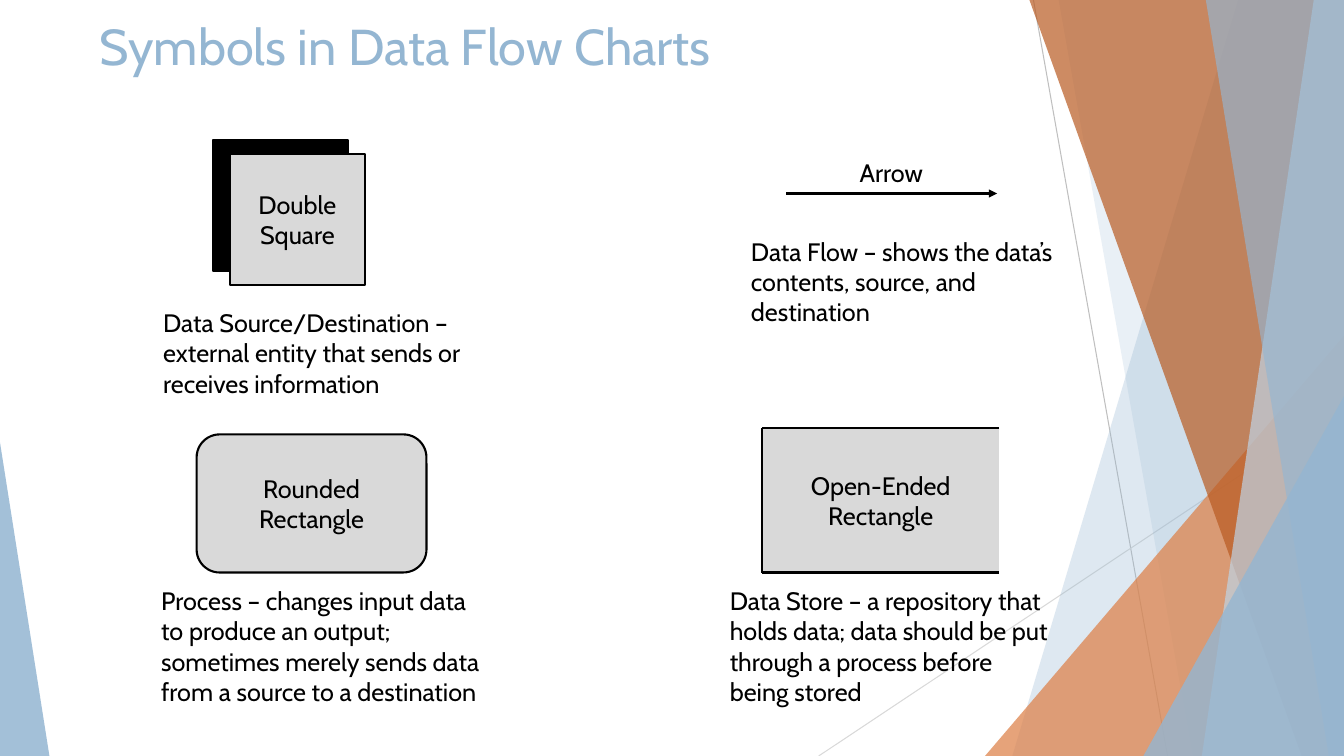
from pptx import Presentation
from pptx.dml.color import RGBColor as Rgb
from pptx.enum.shapes import MSO_CONNECTOR as Link, MSO_SHAPE as Kind
from pptx.enum.text import MSO_ANCHOR as Anchor, MSO_AUTO_SIZE as Auto, PP_ALIGN as Align
from pptx.oxml.ns import qn
from pptx.util import Inches, Pt
from lxml.etree import SubElement as Sub

HUE = {"ink": "000000", "gray": "D9D9D9", "rule": "BFBFBF", "blue": "94B6D2",
       "pale": "BFD3E4", "orange": "DD8047", "rust": "B95B22"}
WIDE, HIGH = 13.33, 7.5
FONT = {"name": "Cabin", "size": Pt(18), "bold": False}
FRAME = {"word_wrap": True, "vertical_anchor": Anchor.TOP}


def style(item, values):
    for key, value in values.items():
        setattr(item, key, value)


def color(name):
    return Rgb.from_string(HUE[name])


def write(shape, text, align=Align.LEFT, hue="ink", frame={}, font={}):
    body = shape.text_frame
    body.text = text
    style(body, FRAME | frame)
    para = body.paragraphs[0]
    para.alignment = align
    style(para.font, FONT | font)
    para.font.color.rgb = color(hue)


def paint(shape, hue, alpha=100, edge=None):
    shape.shadow.inherit = False
    shape.fill.solid()
    shape.fill.fore_color.rgb = color(hue)
    if alpha < 100:
        tint = shape.element.spPr.find(qn("a:solidFill"))[0]
        Sub(tint, qn("a:alpha"), val=str(alpha * 1000))
    if edge:
        shape.line.color.rgb = color(edge)
        shape.line.width = Pt(1.5)
    else:
        shape.line.fill.background()


def block(shapes, kind, box, hue="gray", edge="ink", alpha=100, text=None):
    shape = shapes.add_shape(kind, *map(Inches, box))
    paint(shape, hue, alpha, edge)
    if text:
        write(shape, text, Align.CENTER, frame={"vertical_anchor": Anchor.MIDDLE})
    return shape


def stroke(shapes, start, end, hue="ink", width=1.5, head=False):
    line = shapes.add_connector(Link.STRAIGHT, *map(Inches, start + end))
    line.line.color.rgb = color(hue)
    line.line.width = Pt(width)
    if head:
        Sub(line.line._get_or_add_ln(), qn("a:tailEnd"), type="triangle")
    Sub(line.element.spPr, qn("a:effectLst"))


def label(shapes, box, text, align=Align.LEFT):
    note = shapes.add_textbox(*map(Inches, box))
    write(note, text, align, frame={"auto_size": Auto.SHAPE_TO_FIT_TEXT})


def band(shapes, top, foot, hue, alpha):
    """Band from its left edge to the right side of the slide."""
    spots = [(top, 0), (WIDE, 0), (WIDE, HIGH), (foot, HIGH)]
    spots = [(Inches(x), Inches(y)) for x, y in spots]
    pen = shapes.build_freeform(*spots[0])
    pen.add_line_segments(spots[1:], close=True)
    paint(pen.convert_to_shape(), hue, alpha)


def wedge(shapes, box, apex, hue, alpha):
    shape = block(shapes, Kind.ISOSCELES_TRIANGLE, box, hue, None, alpha)
    shape.adjustments[0] = apex


def backdrop(shapes):
    stroke(shapes, (10.25, 0), (11.58, HIGH), "rule", 0.75)
    stroke(shapes, (WIDE, 4.03), (8.12, HIGH), "gray", 0.75)
    band(shapes, 12.28, 10.04, "blue", 30)
    band(shapes, 10.5, 11.83, "blue", 20)
    wedge(shapes, (9.77, 3.33, 3.56, 4.17), 1, "orange", 72)
    for top, foot, hue, alpha in [(10.21, 12.91, "rust", 70),
                                  (13.03, 11.92, "pale", 70),
                                  (11.96, 13.18, "blue", 65)]:
        band(shapes, top, foot, hue, alpha)
    wedge(shapes, (11.34, 3.93, 1.99, 3.57), 1, "blue", 80)
    wedge(shapes, (0, 4.39, 0.49, 3.11), 0, "blue", 85)


def heading(shapes, box):
    title = shapes.title
    style(title, dict(zip(("left", "top", "width", "height"), map(Inches, box))))
    write(title, "Symbols in Data Flow Charts", hue="blue", font={"size": Pt(36)})


def source(shapes, x, y, w, h):
    side, tall, dx, dy = w - 0.17, h - 0.14, 0.17, 0.14
    block(shapes, Kind.RECTANGLE, (x, y, side, tall), "ink")
    block(shapes, Kind.RECTANGLE, (x + dx, y + dy, side, tall), text="Double Square")
    label(shapes, (x - 0.59, y + 1.61, 3.46, 1.01),
          "Data Source/Destination – external entity that sends or receives information")


def process(shapes, x, y, w, h):
    block(shapes, Kind.ROUNDED_RECTANGLE, (x, y, w, h), text="Rounded Rectangle")
    label(shapes, (x - 0.45, y + h + 0.08, 3.43, 1.31),
          "Process – changes input data to produce an output; sometimes merely "
          "sends data from a source to a destination")


def flow(shapes, x, y, w, h):
    stroke(shapes, (x, y + h), (x + w, y + h), head=True)
    label(shapes, (x + 0.32, y, 1.44, h), "Arrow", Align.CENTER)
    label(shapes, (x - 0.45, y + h + 0.37, 3.21, 1.01),
          "Data Flow – shows the data’s contents, source, and destination")


def store(shapes, x, y, w, h):
    block(shapes, Kind.FLOWCHART_PROCESS, (x, y, w, h), edge=None,
          text="Open-Ended Rectangle")
    for edge in (y, y + h):
        stroke(shapes, (x + w, edge), (x, edge))
    stroke(shapes, (x, y), (x, y + h))
    label(shapes, (x - 0.42, y + h + 0.08, 3.43, 1.31),
          "Data Store – a repository that holds data; data should be put "
          "through a process before being stored")


deck = Presentation()
style(deck, {"slide_width": Inches(WIDE), "slide_height": Inches(HIGH)})
shapes = deck.slides.add_slide(deck.slide_layouts[5]).shapes

# Background bands
backdrop(shapes)

# Title
heading(shapes, (0.89, 0.1, 11.5, 1.19))

# Four symbols with their meanings
source(shapes, 2.11, 1.39, 1.51, 1.44)
process(shapes, 1.95, 4.31, 2.28, 1.37)
flow(shapes, 7.8, 1.51, 2.09, 0.41)
store(shapes, 7.56, 4.25, 2.35, 1.43)

deck.save("out.pptx")
